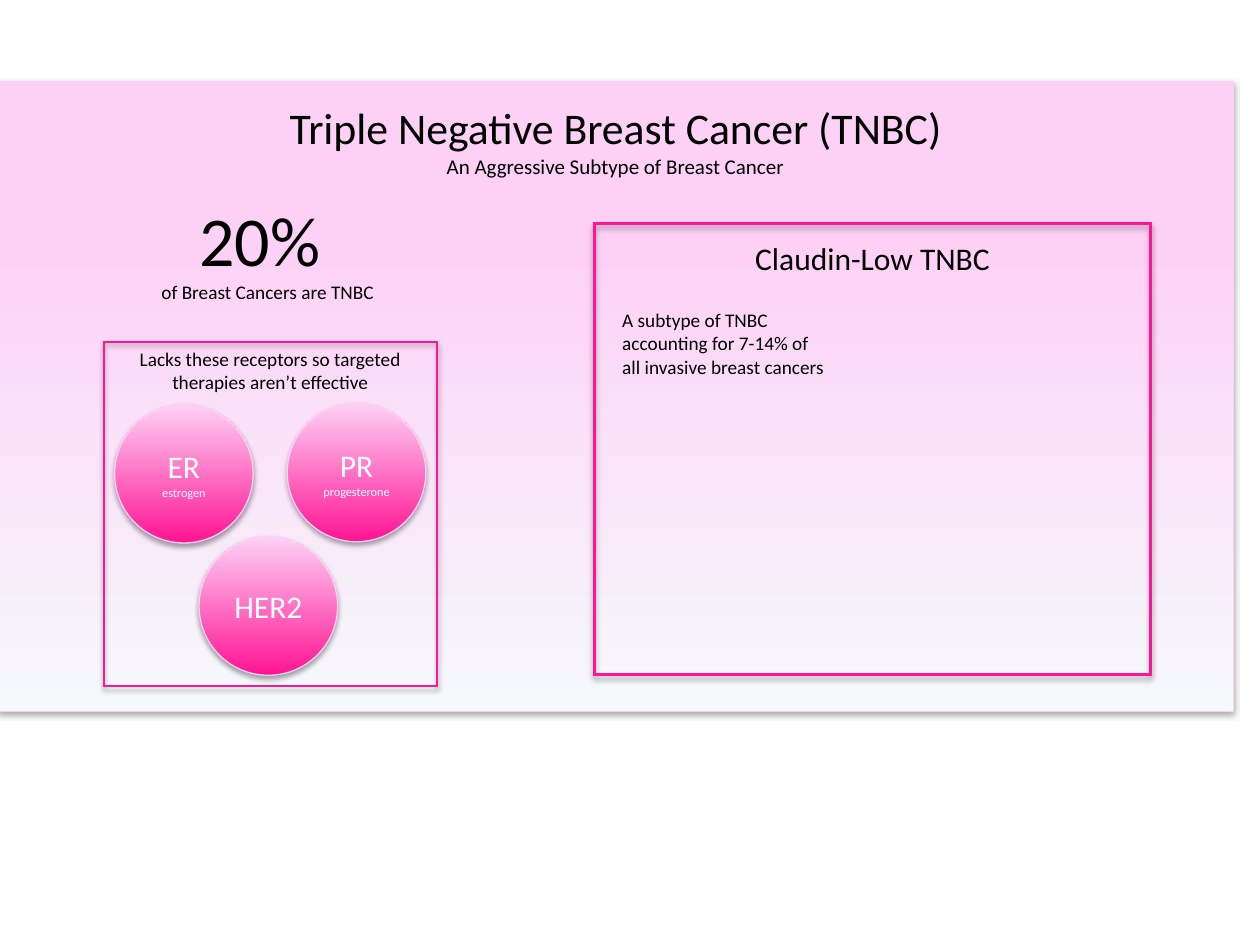
from lxml import etree
from pptx import Presentation
from pptx.dml.color import RGBColor
from pptx.enum import shapes, text
from pptx.oxml.ns import qn
from pptx.util import Pt

PX = 9144  # 100 px to the inch
PINK, HOT, ICE, BLACK, WHITE = "FDD1F6", "FF1493", "F6F9FC", "000000", "FFFFFF"


def rgb(code):
    return RGBColor.from_string(code)


class Slide:
    """Holds the style and the place that new shapes go to."""
    font = "Calibri"

    def __init__(self, deck):
        self.page = deck.slides.add_slide(deck.slide_layouts[6])
        self.shapes = self.page.shapes

    def group(self):
        """Send the shapes that follow into a new group."""
        self.shapes = self.page.shapes.add_group_shape().shapes

    def ungroup(self):
        self.shapes = self.page.shapes

    def shadow(self, shape):
        shape.shadow.inherit = False
        effects = shape._element.spPr.find(qn("a:effectLst"))
        outer = etree.SubElement(effects, qn("a:outerShdw"), blurRad=str(Pt(3.1)),
                                 dist=str(Pt(1.8)), dir="5400000", rotWithShape="0")
        color = etree.SubElement(outer, qn("a:srgbClr"), val=BLACK)
        etree.SubElement(color, qn("a:alpha"), val="35000")

    def shape(self, kind, box, line):
        shape = self.shapes.add_shape(kind, *(n * PX for n in box))
        shape.line.color.rgb = rgb(line)
        shape.line.width = Pt(0.75)
        self.shadow(shape)
        return shape

    def fade(self, kind, box, low, stop=1):
        """Shape whose fill runs from low at the foot to pink at stop."""
        shape = self.shape(kind, box, PINK)
        shape.fill.gradient()
        shape.fill.gradient_angle = 90
        for mark, place, code in zip(shape.fill.gradient_stops, (0, stop), (low, PINK)):
            mark.position = place
            mark.color.rgb = rgb(code)
        return shape

    def frame(self, box, edge):
        shape = self.shape(shapes.MSO_SHAPE.FRAME, box, HOT)
        shape.adjustments[0] = edge
        shape.fill.solid()
        shape.fill.fore_color.rgb = rgb(HOT)

    def put(self, shape, words, sizes, color=BLACK, center=True):
        """Fill a shape with text, giving one size to each run."""
        frame = shape.text_frame
        frame.word_wrap = True
        frame.text = words
        for para in frame.paragraphs:
            para.alignment = text.PP_ALIGN.CENTER if center else text.PP_ALIGN.LEFT
        runs = [run for para in frame.paragraphs for run in para.runs]
        for run, size in zip(runs, sizes):
            run.font.name = self.font
            run.font.size = Pt(size)
            run.font.color.rgb = rgb(color)

    def label(self, box, words, *sizes, center=True):
        shape = self.shapes.add_textbox(*(n * PX for n in box))
        self.put(shape, words, sizes, center=center)
        shape.text_frame.auto_size = text.MSO_AUTO_SIZE.SHAPE_TO_FIT_TEXT

    def ball(self, left, top, words):
        shape = self.fade(shapes.MSO_SHAPE.OVAL, (left, top, 110, 110), HOT)
        self.put(shape, words, (18, 7), WHITE)
        shape.text_frame.vertical_anchor = text.MSO_ANCHOR.MIDDLE


def main():
    deck = Presentation()
    deck.slide_width, deck.slide_height = 1000 * PX, 750 * PX
    slide = Slide(deck)

    slide.fade(shapes.MSO_SHAPE.RECTANGLE, (-1, 65, 980, 500), ICE, 0.74)
    slide.label((187, 75, 603, 72), "Triple Negative Breast Cancer (TNBC)\n"
                "An Aggressive Subtype of Breast Cancer", 25, 12)

    slide.group()
    for left, top, words in ((91, 321, "ER\nestrogen"),
                             (228, 320, "PR\vprogesterone"),
                             (158, 426, "HER2")):
        slide.ball(left, top, words)
    slide.label((82, 271, 265, 47), "Lacks these receptors so targeted "
                "therapies aren’t effective", 11)
    slide.frame((82, 271, 265, 274), 0.002)
    slide.ungroup()

    slide.frame((471, 177, 443, 359), 0.004)
    slide.label((544, 185, 297, 40), "Claudin-Low TNBC", 18)
    slide.label((484, 240, 183, 66), "A subtype of TNBC accounting for 7-14% of "
                "all invasive breast cancers", 11, center=False)
    slide.label((109, 151, 207, 96), "20% \nof Breast Cancers are TNBC", 40, 11)

    deck.save("out.pptx")


if __name__ == "__main__":
    main()
